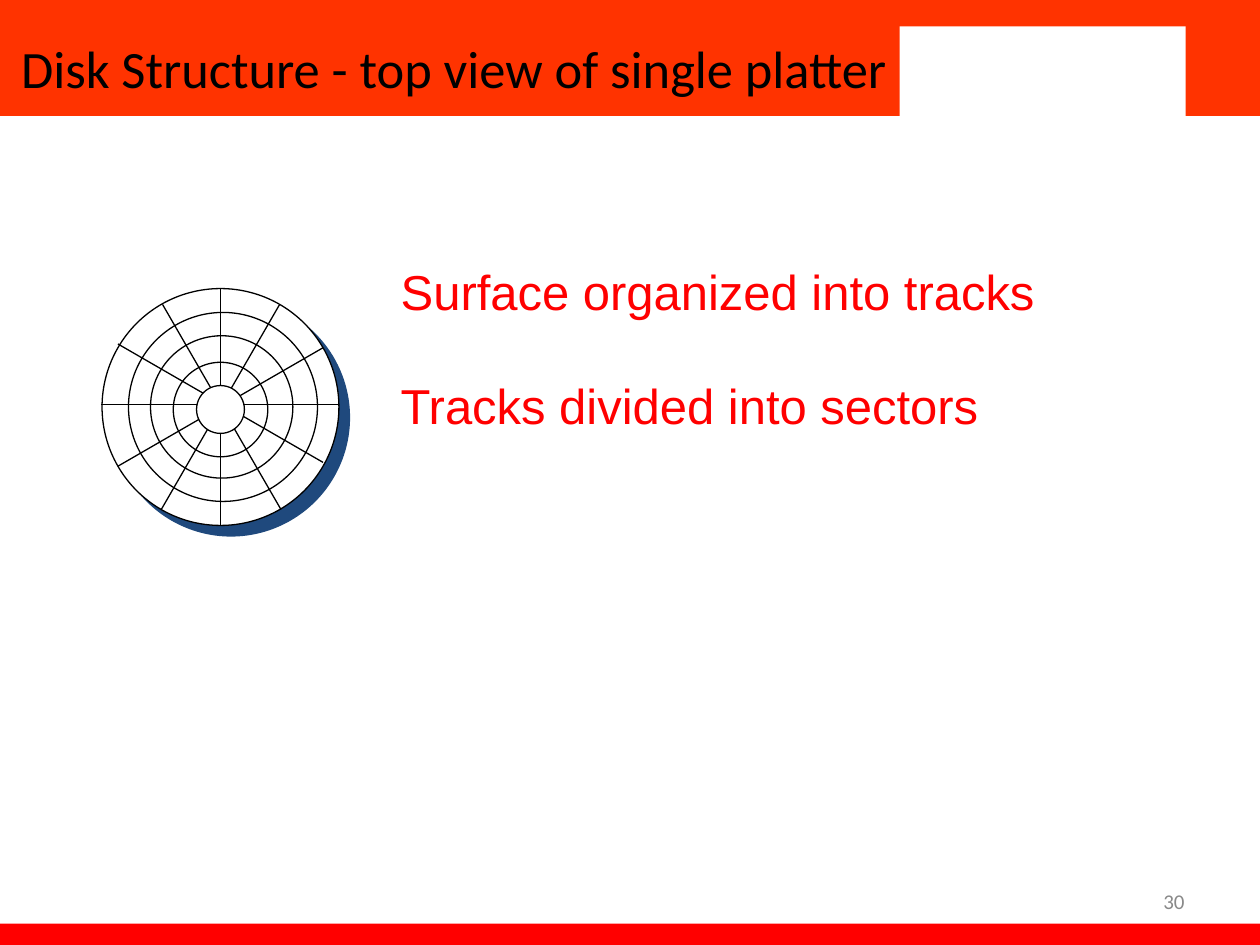
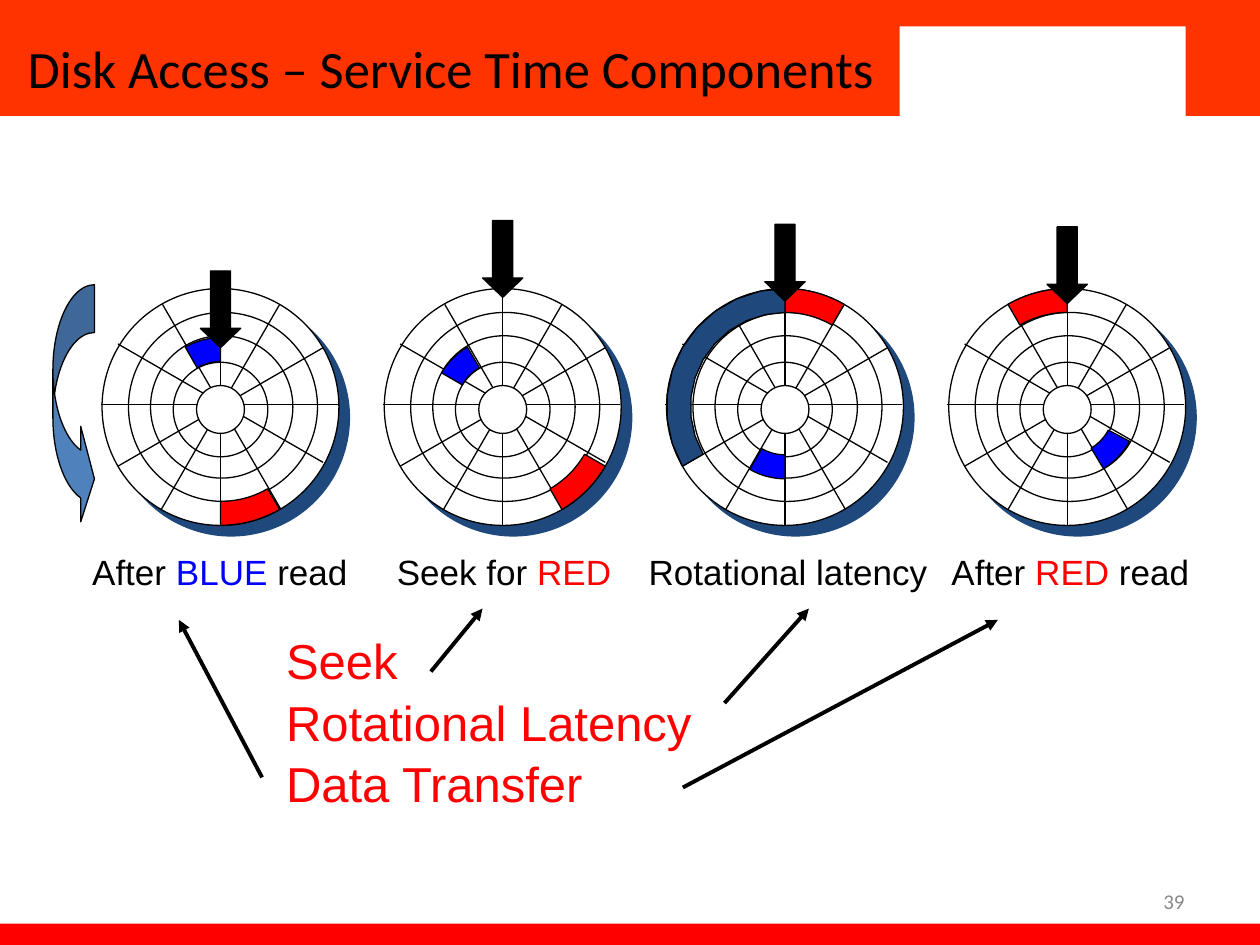
from dataclasses import dataclass
from math import cos, radians, sin
from typing import NamedTuple

from lxml import etree
from pptx import Presentation
from pptx import util as u
from pptx.dml.color import RGBColor
from pptx.enum import shapes as kinds
from pptx.enum import text as txt
from pptx.oxml.ns import qn

Inches = u.Inches
SHAPE = kinds.MSO_SHAPE


@dataclass(frozen=True)
class Theme:
    band: str = "FF3300"
    red: str = "FF0000"
    blue: str = "0000FF"
    navy: str = "1F497D"
    spin: str = "4F81BD"
    ink: str = "000000"
    paper: str = "FFFFFF"
    number: str = "898989"
    heading_font: str = "Calibri"
    body_font: str = "Arial"
    title_size: float = 30
    list_size: float = 28
    caption_size: float = 20
    number_size: float = 12
    thin: float = 0.75
    thick: float = 2.25


T = Theme()


class Box(NamedTuple):
    left: float
    top: float
    width: float
    height: float

    def lengths(self) -> list:
        return [Inches(value) for value in self]


class Run(NamedTuple):
    text: str
    color: str = T.ink


class Ring(NamedTuple):
    """A circle placed by its offset from the disk centre."""
    dx: float
    dy: float
    diameter: float


class Spoke(NamedTuple):
    angle: float
    dx: float = 0
    dy: float = 0


class Track(NamedTuple):
    inner: float
    outer: float
    dy: float = 0


class Sector(NamedTuple):
    """Part of a track; angles run clockwise from the top."""
    track: Track
    start: float
    end: float
    color: str


class Stage(NamedTuple):
    caption: list
    caption_box: Box
    head_top: float
    sectors: list


class Arrow(NamedTuple):
    x1: float
    y1: float
    x2: float
    y2: float


FIRST_X, DISK_Y, DISK_PITCH, RADIUS = 1.75, 3.23, 2.24, 0.94
PLATTER = Ring(0, 0, 2 * RADIUS)
TRACK_RINGS = [Ring(0.02, 0, 1.5), Ring(0.01, 0, 1.13), Ring(0, 0.02, 0.75)]
HUB = Ring(0, 0.02, 0.38)
SPOKES = [Spoke(0), Spoke(30), Spoke(60), Spoke(90, -0.01, -0.02),
          Spoke(120, 0, -0.03), Spoke(150, 0.01)]
OUTER = Track(0.75, RADIUS)
MIDDLE = Track(0.37, 0.56, 0.01)

BANDS = [(Box(0, 0, 10, 0.92), T.band), (Box(0, 7.33, 10, 0.22), T.red),
         (Box(6.72, 0, 3.28, 0.92), T.band), (Box(7.14, 0.21, 2.27, 0.75), T.paper)]

STAGES = [
    Stage([Run("After "), Run("BLUE ", T.blue), Run("read")], Box(0.58, 4.32, 2.33, 0.43), 2.15,
          [Sector(MIDDLE, -30, 0, T.blue), Sector(OUTER, 150, 180, T.red)]),
    Stage([Run("Seek for "), Run("RED", T.red)], Box(3, 4.32, 2, 0.43), 1.75,
          [Sector(OUTER, 120, 150, T.red), Sector(MIDDLE, -60, -30, T.blue)]),
    Stage([Run("Rotational latency")], Box(4.92, 4.32, 2.67, 0.43), 1.78,
          [Sector(OUTER, 0, 30, T.red), Sector(MIDDLE, 180, 210, T.blue),
           Sector(OUTER, 240, 360, T.navy)]),
    Stage([Run("After "), Run("RED", T.red), Run(" read")], Box(7.33, 4.32, 2.33, 0.43), 1.8,
          [Sector(OUTER, -30, 0, T.red), Sector(MIDDLE, 118, 149, T.blue)]),
]

STAGE_ARROWS = [Arrow(3.42, 5.33, 3.83, 4.83), Arrow(5.75, 5.58, 6.42, 4.83),
                Arrow(5.42, 6.25, 7.92, 4.92), Arrow(2.08, 6.17, 1.42, 4.92)]


def rgb(color: str) -> RGBColor:
    return RGBColor.from_string(color)


def paint(shape, fill: str, line: str | None = T.ink):
    shape.shadow.inherit = False
    shape.fill.solid()
    shape.fill.fore_color.rgb = rgb(fill)
    if line:
        shape.line.color.rgb = rgb(line)
        shape.line.width = u.Pt(T.thin)
    else:
        shape.line.fill.background()
    return shape


def add_preset(slide, kind, box: Box, fill: str, line: str | None = T.ink):
    return paint(slide.shapes.add_shape(kind, *box.lengths()), fill, line)


def add_line(slide, ends: Arrow, width: float, arrowhead: bool = False) -> None:
    connector = slide.shapes.add_connector(kinds.MSO_CONNECTOR.STRAIGHT, *map(Inches, ends))
    connector.line.color.rgb = rgb(T.ink)
    connector.line.width = u.Pt(width)
    if arrowhead:
        etree.SubElement(connector.get_or_add_ln(), qn("a:tailEnd"), type="triangle")
    etree.SubElement(connector.element.spPr, qn("a:effectLst"))


def write(paragraph, runs: list, size: float, font: str) -> None:
    for part in runs:
        run = paragraph.add_run()
        run.text = part.text
        run.font.size = u.Pt(size)
        run.font.name = font
        run.font.color.rgb = rgb(part.color)


def place(holder, box: Box, anchor):
    """Set the position of a text holder and return its text frame."""
    holder.left, holder.top, holder.width, holder.height = box.lengths()
    frame = holder.text_frame
    frame.word_wrap = True
    frame.auto_size = txt.MSO_AUTO_SIZE.NONE
    frame.vertical_anchor = anchor
    return frame


def add_label(slide, box: Box, runs: list, size: float, font: str, align, anchor) -> None:
    frame = place(slide.shapes.add_textbox(*box.lengths()), box, anchor)
    frame.paragraphs[0].alignment = align
    write(frame.paragraphs[0], runs, size, font)


def fill_list(holder, box: Box, items: list) -> None:
    frame = place(holder, box, txt.MSO_ANCHOR.BOTTOM)
    for index, item in enumerate(items):
        paragraph = frame.add_paragraph() if index else frame.paragraphs[0]
        paragraph.space_before = u.Pt(1.5)
        properties = paragraph._p.get_or_add_pPr()
        properties.set("marL", "0")
        properties.set("indent", "0")
        etree.SubElement(properties, qn("a:buNone"))
        write(paragraph, [Run(item, T.red)], T.list_size, T.body_font)


def add_ring(slide, center_x: float, ring: Ring):
    left = center_x + ring.dx - ring.diameter / 2
    top = DISK_Y + ring.dy - ring.diameter / 2
    return add_preset(slide, SHAPE.OVAL, Box(left, top, ring.diameter, ring.diameter), T.paper)


def add_disk_shadow(platter) -> None:
    effects = platter.element.spPr.find(qn("a:effectLst"))
    shadow = etree.SubElement(effects, qn("a:outerShdw"), blurRad="0", dist=str(int(u.Pt(8.5))),
                              dir=str(45 * 60000), algn="ctr", rotWithShape="0")
    etree.SubElement(shadow, qn("a:srgbClr"), val=T.navy)


def add_disk(slide, center_x: float) -> None:
    add_disk_shadow(add_ring(slide, center_x, PLATTER))
    for ring in TRACK_RINGS:
        add_ring(slide, center_x, ring)
    for spoke in SPOKES:
        x, y = center_x + spoke.dx, DISK_Y + spoke.dy
        reach_x = RADIUS * sin(radians(spoke.angle))
        reach_y = RADIUS * cos(radians(spoke.angle))
        add_line(slide, Arrow(x + reach_x, y - reach_y, x - reach_x, y + reach_y), T.thin)
    add_ring(slide, center_x, HUB)


def add_sector(slide, center_x: float, sector: Sector) -> None:
    steps = 10
    angles = [radians(sector.start + (sector.end - sector.start) * i / steps)
              for i in range(steps + 1)]

    def arc(radius: float, sweep: list) -> list:
        return [(Inches(center_x + radius * sin(a)),
                 Inches(DISK_Y + sector.track.dy - radius * cos(a))) for a in sweep]

    outline = arc(sector.track.outer, angles) + arc(sector.track.inner, angles[::-1])
    builder = slide.shapes.build_freeform(*outline[0])
    builder.add_line_segments(outline[1:], close=True)
    paint(builder.convert_to_shape(), sector.color)


def add_stage(slide, center_x: float, stage: Stage) -> None:
    add_label(slide, stage.caption_box, stage.caption, T.caption_size, T.body_font,
              txt.PP_ALIGN.CENTER, txt.MSO_ANCHOR.TOP)
    add_disk(slide, center_x)
    for sector in stage.sectors:
        add_sector(slide, center_x, sector)
    head = add_preset(slide, SHAPE.DOWN_ARROW,
                      Box(center_x - 0.16, stage.head_top, 0.32, 0.61), T.ink)
    head.adjustments[1] = 0.48


def start_slide(prs, layout: int, title: str, title_width: float, number: str):
    slide = prs.slides.add_slide(prs.slide_layouts[layout])
    frame = place(slide.shapes.title, Box(0, 0, title_width, 1.08), txt.MSO_ANCHOR.MIDDLE)
    frame.paragraphs[0].alignment = txt.PP_ALIGN.CENTER
    write(frame.paragraphs[0], [Run(title)], T.title_size, T.heading_font)
    add_label(slide, Box(7.17, 6.95, 2.33, 0.4), [Run(number, T.number)], T.number_size,
              T.heading_font, txt.PP_ALIGN.RIGHT, txt.MSO_ANCHOR.MIDDLE)
    return slide


def move_bands_to_master(prs, slide) -> None:
    """Draw the bands on a slide, then move them behind everything on the master."""
    tree = prs.slide_master.shapes.element
    for index, (box, color) in enumerate(BANDS):
        band = add_preset(slide, SHAPE.RECTANGLE, box, color, None).element
        band.nvSpPr.cNvPr.set("id", str(100 + index))
        tree.insert(2 + index, band)


def build_structure(prs):
    slide = start_slide(prs, 3, "Disk Structure - top view of single platter", 7.21, "30")
    add_disk(slide, FIRST_X)
    fill_list(slide.placeholders[1], Box(3.08, 1.67, 5.92, 0.92), ["Surface organized into tracks"])
    fill_list(slide.placeholders[2], Box(3.08, 2.58, 6.25, 0.92), ["Tracks divided into sectors"])
    return slide


def build_access(prs) -> None:
    slide = start_slide(prs, 1, "Disk Access – Service Time Components", 7.16, "39")
    for index, stage in enumerate(STAGES):
        add_stage(slide, FIRST_X + index * DISK_PITCH, stage)
    spin = add_preset(slide, SHAPE.CURVED_RIGHT_ARROW, Box(0.42, 2.26, 0.33, 1.92), T.spin)
    for index, value in enumerate((1.15, 2.3, 0.33)):
        spin.adjustments[index] = value
    fill_list(slide.placeholders[1], Box(2.17, 4.92, 3.5, 1.58),
              ["Seek", "Rotational Latency", "Data Transfer"])
    for arrow in STAGE_ARROWS:
        add_line(slide, arrow, T.thick, arrowhead=True)


def main() -> None:
    prs = Presentation()
    prs.slide_width, prs.slide_height = Inches(10), Inches(7.5)
    structure = build_structure(prs)
    move_bands_to_master(prs, structure)
    build_access(prs)
    prs.save("out.pptx")


if __name__ == "__main__":
    main()
